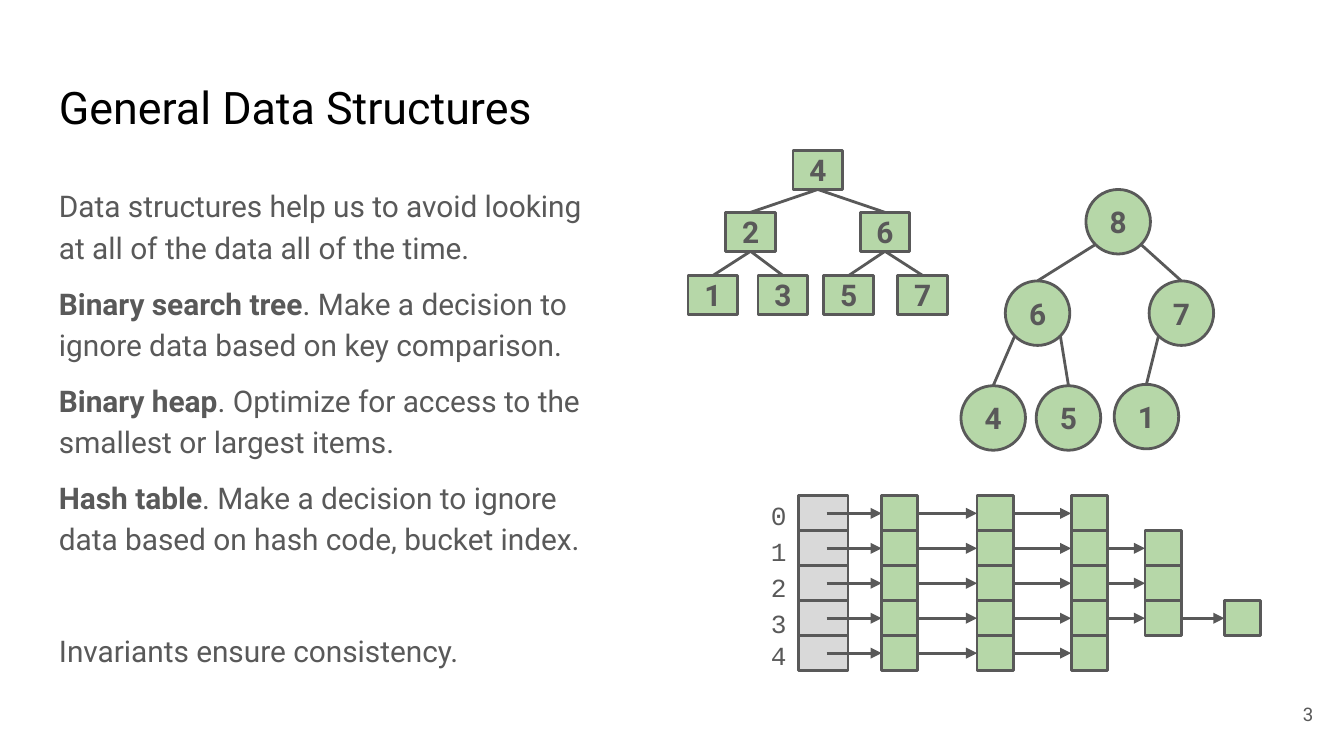
from typing import NamedTuple

from lxml import etree
from pptx import Presentation
from pptx.dml.color import RGBColor
from pptx.enum.shapes import MSO_CONNECTOR, MSO_SHAPE
from pptx.enum.text import MSO_ANCHOR, PP_ALIGN
from pptx.oxml.ns import qn
from pptx.shapes.autoshape import Shape
from pptx.shapes.connector import Connector
from pptx.slide import Slide
from pptx.util import Inches, Pt

STRAIGHT = MSO_CONNECTOR.STRAIGHT
RECTANGLE, OVAL = MSO_SHAPE.RECTANGLE, MSO_SHAPE.OVAL
TOP, MIDDLE = MSO_ANCHOR.TOP, MSO_ANCHOR.MIDDLE
LEFT, CENTER, RIGHT = PP_ALIGN.LEFT, PP_ALIGN.CENTER, PP_ALIGN.RIGHT
TOP_SITE, LEFT_SITE, BOTTOM_SITE, RIGHT_SITE = range(4)

SLIDE_WIDTH = 10
SLIDE_HEIGHT = SLIDE_WIDTH * 9 / 16
GRAY, GREEN, BUCKET_GRAY, BLACK = "595959", "B6D7A8", "D9D9D9", "000000"
KEY_WIDTH, KEY_HEIGHT = 0.37, 0.29
CIRCLE = 0.48
DIAGONAL = 0.17
TABLE_TOP, ROW_HEIGHT = 3.69, 0.26
POINTER_LEFT = 6.15


class Box(NamedTuple):
    left: float
    top: float
    width: float
    height: float


class Run(NamedTuple):
    text: str
    bold: bool = False


class Line(NamedTuple):
    runs: list[Run]
    formats: dict


class Node(NamedTuple):
    key: str
    left: float
    top: float
    parent: int | None = None


class Column(NamedTuple):
    left: float
    width: float
    rows: range
    fill: str = GREEN


SEARCH_TREE = [
    Node("4", 5.9, 1.12),
    Node("2", 5.4, 1.58, 0),
    Node("6", 6.4, 1.58, 0),
    Node("1", 5.12, 2.05, 1),
    Node("3", 5.64, 2.05, 1),
    Node("5", 6.13, 2.05, 2),
    Node("7", 6.68, 2.05, 2),
]
HEAP = [
    Node("8", 8.08, 1.41),
    Node("6", 7.48, 2.09, 0),
    Node("7", 8.55, 2.09, 0),
    Node("4", 7.15, 2.87, 1),
    Node("5", 7.71, 2.87, 1),
    Node("1", 8.29, 2.86, 2),
]
HASH_TABLE = [
    Column(5.94, 0.37, range(5), BUCKET_GRAY),
    Column(6.56, 0.27, range(5)),
    Column(7.27, 0.27, range(5)),
    Column(7.97, 0.27, range(5)),
    Column(8.52, 0.27, range(1, 4)),
    Column(9.11, 0.27, range(3, 4)),
]
SPACED = {"line_spacing": 1.15, "space_before": Pt(8)}
BODY = [
    Line([Run("Data structures help us to avoid looking at all of the data all of the time.")],
         {"line_spacing": 1.15}),
    Line([Run("Binary search tree", True),
          Run(". Make a decision to ignore data based on key comparison.")], SPACED),
    Line([Run("Binary heap", True),
          Run(". Optimize for access to the smallest or largest items.")], SPACED),
    Line([Run("Hash table", True),
          Run(". Make a decision to ignore data based on hash code, bucket index.")], SPACED),
    Line([Run("Invariants ensure consistency.")], SPACED | {"space_before": Pt(38)}),
]


def color(value: str) -> RGBColor:
    return RGBColor.from_string(value)


def set_formats(target: object, formats: dict) -> None:
    for name, value in formats.items():
        setattr(target, name, value)


def write_text(shape: Shape, lines: list[Line], size: int, align: PP_ALIGN,
               anchor: MSO_ANCHOR = MIDDLE, font: str = "Roboto", ink: str = GRAY) -> None:
    frame = shape.text_frame
    margins = {f"margin_{side}": Inches(0.1) for side in ("left", "top", "right", "bottom")}
    set_formats(frame, margins | {"word_wrap": True, "vertical_anchor": anchor})
    for index, line in enumerate(lines):
        paragraph = frame.add_paragraph() if index else frame.paragraphs[0]
        set_formats(paragraph, {"alignment": align} | line.formats)
        for part in line.runs:
            run = paragraph.add_run()
            run.text = part.text
            set_formats(run.font, {"name": font, "size": Pt(size), "bold": part.bold})
            run.font.color.rgb = color(ink)


def add_text(slide: Slide, box: Box, lines: list[Line], size: int, align: PP_ALIGN,
             **style) -> None:
    shape = slide.shapes.add_textbox(*map(Inches, box))
    write_text(shape, lines, size, align, **style)


def plain(text: str) -> Line:
    return Line([Run(text)], {})


def add_block(slide: Slide, kind: MSO_SHAPE, box: Box, fill: str) -> Shape:
    shape = slide.shapes.add_shape(kind, *map(Inches, box))
    shape.shadow.inherit = False
    shape.fill.solid()
    shape.fill.fore_color.rgb = color(fill)
    shape.line.color.rgb = color(GRAY)
    shape.line.width = Pt(1.5)
    return shape


def add_link(slide: Slide, start: tuple[float, float], child: Shape, site: int,
             arrow: bool = False) -> Connector:
    x, y = map(Inches, start)
    link = slide.shapes.add_connector(STRAIGHT, x, y, x, y)
    link.end_connect(child, site)
    link.line.color.rgb = color(GRAY)
    link.line.width = Pt(1.5)
    properties = link._element.spPr
    if arrow:
        etree.SubElement(properties.find(qn("a:ln")), qn("a:tailEnd"), type="triangle")
    etree.SubElement(properties, qn("a:effectLst"))
    return link


def add_tree(slide: Slide, nodes: list[Node], kind: MSO_SHAPE,
             width: float, height: float) -> None:
    shapes = []
    for node in nodes:
        shape = add_block(slide, kind, Box(node.left, node.top, width, height), GREEN)
        write_text(shape, [Line([Run(node.key, True)], {})], 16, CENTER)
        shapes.append(shape)
    for node, shape in zip(nodes, shapes):
        if node.parent is None:
            continue
        parent = nodes[node.parent]
        x, y = parent.left + width / 2, parent.top + height
        if kind == OVAL:
            x += DIAGONAL if node.left > parent.left else -DIAGONAL
            y += DIAGONAL - height / 2
        link = add_link(slide, (x, y), shape, TOP_SITE)
        if kind == RECTANGLE:
            link.begin_connect(shapes[node.parent], BOTTOM_SITE)


def add_hash_table(slide: Slide, columns: list[Column]) -> None:
    previous = {}
    for index, column in enumerate(columns):
        cells = {}
        for row in column.rows:
            top = TABLE_TOP + row * ROW_HEIGHT
            box = Box(column.left, top, column.width, ROW_HEIGHT)
            cells[row] = add_block(slide, RECTANGLE, box, column.fill)
            if index:
                start = (POINTER_LEFT, top + ROW_HEIGHT / 2)
                link = add_link(slide, start, cells[row], LEFT_SITE, arrow=True)
                if index > 1:
                    link.begin_connect(previous[row], RIGHT_SITE)
        previous = cells
    labels = [Line([Run(str(row))], {"line_spacing": 1.15 if row < 4 else 1.0})
              for row in range(5)]
    add_text(slide, Box(5.63, 3.69, 0.32, 1.29), labels, 14, RIGHT, font="Courier New")


def main() -> None:
    presentation = Presentation()
    presentation.slide_width = Inches(SLIDE_WIDTH)
    presentation.slide_height = Inches(SLIDE_HEIGHT)
    slide = presentation.slides.add_slide(presentation.slide_layouts[6])
    add_text(slide, Box(0.34, 0.49, 4.32, 0.63), [plain("General Data Structures")], 24, LEFT,
             anchor=TOP, ink=BLACK)
    add_text(slide, Box(0.34, 1.26, 4.32, 3.74), BODY, 16, LEFT, anchor=TOP)
    add_text(slide, Box(9.27, 5.1, 0.6, 0.43), [plain("3")], 10, RIGHT)
    add_tree(slide, SEARCH_TREE, RECTANGLE, KEY_WIDTH, KEY_HEIGHT)
    add_tree(slide, HEAP, OVAL, CIRCLE, CIRCLE)
    add_hash_table(slide, HASH_TABLE)
    presentation.save("out.pptx")


if __name__ == "__main__":
    main()
